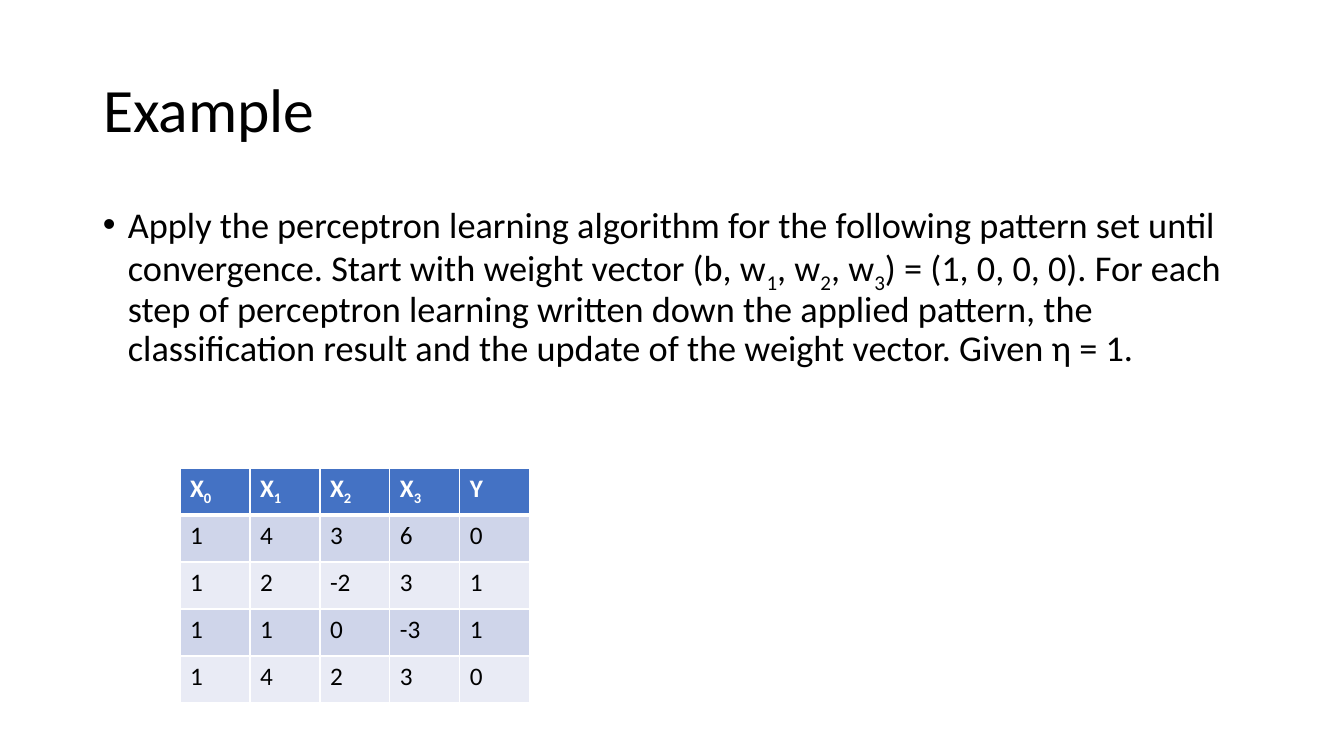
from lxml.etree import SubElement
from pptx import Presentation
from pptx.dml.color import RGBColor
from pptx.enum.text import MSO_ANCHOR, MSO_AUTO_SIZE, PP_ALIGN
from pptx.oxml.ns import qn
from pptx.util import Pt

PX = 914400 / 100.8


def px(*lengths):
    return [round(length * PX) for length in lengths]


def add_text(paragraph, text, size, color="000000", bold=False):
    """Add runs; the digit after each underscore becomes a subscript."""
    first, *rest = text.split("_")
    pieces = [(first, False)]
    for part in rest:
        pieces += [(part[0], True), (part[1:], False)]
    for piece, subscript in pieces:
        if piece:
            run = paragraph.add_run()
            run.text = piece
            run.font.name = "Calibri"
            run.font.size = Pt(size)
            run.font.bold = bold
            run.font.color.rgb = RGBColor.from_string(color)
            if subscript:
                run.font._element.set("baseline", "-25000")


presentation = Presentation()
presentation.slide_width, presentation.slide_height = px(1344, 756)
slide = presentation.slides.add_slide(presentation.slide_layouts[5])

# Title
title = slide.shapes.title
title.left, title.top, title.width, title.height = px(93, 40, 1159, 146)
title.text_frame.auto_size = MSO_AUTO_SIZE.NONE
title.text_frame.vertical_anchor = MSO_ANCHOR.MIDDLE
heading = title.text_frame.paragraphs[0]
heading.alignment = PP_ALIGN.LEFT
heading.line_spacing = 0.9
add_text(heading, "Example", 44)

# Task with bullet
task_frame = slide.shapes.add_textbox(*px(93, 202, 1159, 181)).text_frame
task_frame.word_wrap = True
task = task_frame.paragraphs[0]
task_format = task._p.get_or_add_pPr()
indent = px(25)[0]
task_format.set("marL", str(indent))
task_format.set("indent", str(-indent))
SubElement(task_format, qn("a:buFont"), typeface="Arial")
SubElement(task_format, qn("a:buChar"), char="•")
task.line_spacing = 0.9
add_text(
    task,
    "Apply the perceptron learning algorithm for the following pattern set until "
    "convergence. Start with weight vector (b, w_1, w_2, w_3) = (1, 0, 0, 0). "
    "For each step of perceptron learning written down the applied pattern, the "
    "classification result and the update of the weight vector. Given η = 1.",
    25.9,
)

# Pattern set
patterns = [
    ["X_0", "X_1", "X_2", "X_3", "Y"],
    [1, 4, 3, 6, 0],
    [1, 2, -2, 3, 1],
    [1, 1, 0, -3, 1],
    [1, 4, 2, 3, 0],
]
pattern_table = slide.shapes.add_table(5, 5, *px(180, 468, 350, 235)).table
for r, pattern in enumerate(patterns):
    is_header = r == 0
    fill = "4472C4" if is_header else ("E9EBF5", "CFD5EA")[r % 2]
    for c, value in enumerate(pattern):
        cell = pattern_table.cell(r, c)
        # White borders, thicker below the header
        for side in ("L", "R", "T", "B"):
            thick = (r, side) in ((0, "B"), (1, "T"))
            border = SubElement(cell._tc.get_or_add_tcPr(), qn(f"a:ln{side}"),
                                w=str(Pt(3 if thick else 1)))
            SubElement(SubElement(border, qn("a:solidFill")), qn("a:srgbClr"), val="FFFFFF")
        cell.fill.solid()
        cell.fill.fore_color.rgb = RGBColor.from_string(fill)
        add_text(cell.text_frame.paragraphs[0], str(value), 18,
                 "FFFFFF" if is_header else "000000", is_header)

presentation.save("out.pptx")
